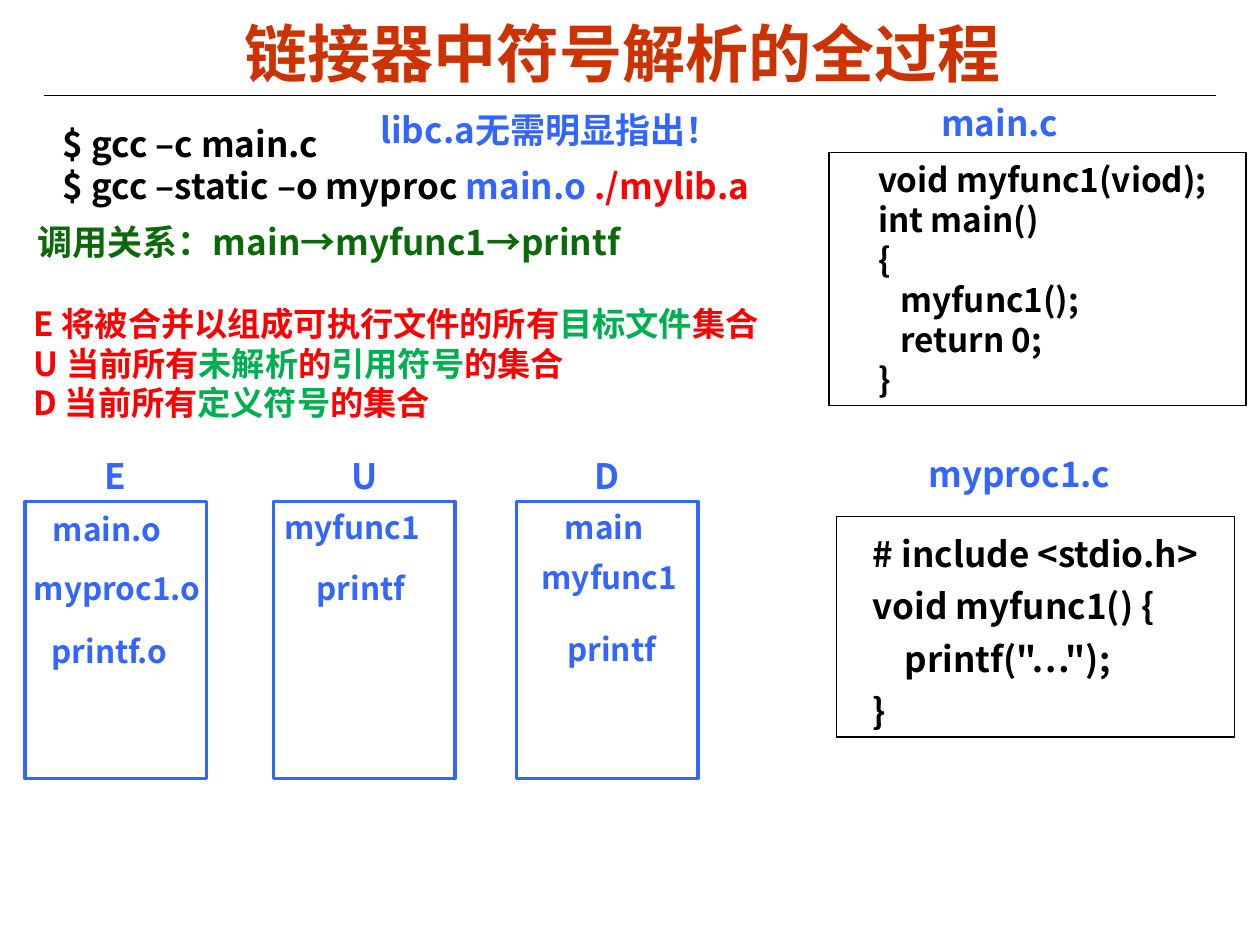
"""Build a slide on how a linker resolves symbols."""
from lxml import etree
from pptx import Presentation, util as u
from pptx.dml.color import RGBColor
from pptx.enum import shapes, text
from pptx.oxml.ns import qn

COLORS = {"title": "CC3300", "ink": "000000", "blue": "3366FF", "label": "3365FF",
          "red": "FF0000", "green": "00B050", "call": "0A6A0A"}


class SlideBuilder:
    """Hold the style and the current slide."""

    font = "Noto Sans CJK SC"

    def __init__(self, slide):
        self.slide = slide

    def color(self, name):
        return RGBColor.from_string(COLORS[name])

    def style_run(self, run, size, color, font):
        run.font.size, run.font.bold, run.font.name = u.Pt(size), True, font
        run.font.color.rgb = self.color(color)
        east_asian = etree.SubElement(run._r.get_or_add_rPr(), qn("a:ea"))
        east_asian.set("typeface", self.font)

    def fill_text(self, frame, lines, size, align=text.PP_ALIGN.LEFT, anchor=text.MSO_ANCHOR.TOP,
                  wrap=True, indent=0, spacing=None, font=font):
        """Fill a frame with lines, each a list of (words, color) pairs."""
        frame.auto_size = text.MSO_AUTO_SIZE.NONE
        frame.word_wrap, frame.vertical_anchor = wrap, anchor
        for number, line in enumerate(lines):
            paragraph = frame.add_paragraph() if number else frame.paragraphs[0]
            paragraph.alignment = align
            if spacing:
                paragraph.line_spacing = spacing
            if indent:
                paragraph._p.get_or_add_pPr().set("indent", str(u.Inches(indent)))
            for words, color in line:
                run = paragraph.add_run()
                run.text = words
                self.style_run(run, size, color, font)

    def title(self, words, *place):
        title = self.slide.shapes.title
        title.left, title.top, title.width, title.height = map(u.Inches, place)
        self.fill_text(title.text_frame, [[(words, "title")]], 36, text.PP_ALIGN.CENTER,
                       text.MSO_ANCHOR.MIDDLE, font="Arial")

    def rule(self, left, right, top):
        line = self.slide.shapes.add_connector(
            shapes.MSO_CONNECTOR.STRAIGHT, *map(u.Inches, (left, top, right, top)))
        line.line.color.rgb, line.line.width = self.color("ink"), u.Pt(0.75)
        etree.SubElement(line._element.spPr, qn("a:effectLst"))

    def text_box(self, place, lines, size=20, **layout):
        box = self.slide.shapes.add_textbox(*map(u.Inches, place))
        self.fill_text(box.text_frame, lines, size, **layout)

    def frame(self, place, color, width):
        box = self.slide.shapes.add_shape(
            shapes.MSO_SHAPE.RECTANGLE, *map(u.Inches, place))
        box.shadow.inherit = False
        box.fill.background()
        box.line.color.rgb, box.line.width = self.color(color), u.Pt(width)
        return box

    def code(self, place, source, size, indent, spacing=None):
        box = self.frame(place, "ink", 0.75)
        self.fill_text(box.text_frame, [[(line, "ink")] for line in source], size,
                       anchor=text.MSO_ANCHOR.MIDDLE, indent=indent, spacing=spacing)

    def symbol_set(self, left, name, name_left, members):
        self.frame((left, 3.98, 1.44, 2.2), "label", 2)
        self.text_box((name_left, 3.56, 0.33, 0.43), [[(name, "label")]])
        for member, member_left, top, width, align in members:
            self.text_box((member_left, top, width, 0.4), [[(member, "label")]], 18, align=align)


def main():
    deck = Presentation()
    deck.slide_width, deck.slide_height = u.Inches(10), u.Inches(7.5)
    page = SlideBuilder(deck.slides.add_slide(deck.slide_layouts[5]))
    left, center = text.PP_ALIGN.LEFT, text.PP_ALIGN.CENTER

    page.title("链接器中符号解析的全过程", 0.44, 0.11, 9, 0.61)
    page.rule(0.35, 9.65, 0.76)

    page.code((6.58, 1.21, 3.31, 2.01),
              ["void myfunc1(viod);", "int main()", "{", "   myfunc1();", "   return 0;", "}"],
              19, 0.29)
    page.text_box((7.37, 0.76, 1.59, 0.43), [[("main.c", "label")]])
    page.code((6.64, 4.1, 3.16, 1.75),
              ["# include <stdio.h>", "void myfunc1() {", '    printf("…");', "}"],
              20, 0.19, 1.25)
    page.text_box((7.27, 3.54, 1.67, 0.44), [[("myproc1.c", "blue")]], wrap=False)

    page.text_box((0.4, 0.92, 5.97, 0.77), [
        [("$ gcc –c main.c", "ink")],
        [("$ gcc –static –o myproc ", "ink"), ("main.o ", "blue"), ("./mylib.a", "red")]])
    page.text_box((2.92, 0.81, 2.97, 0.43), [[("libc.a无需明显指出！", "blue")]])
    page.text_box((0.2, 1.7, 5.57, 0.43), [[("调用关系：main→myfunc1→printf", "call")]])
    page.text_box((0.17, 2.35, 6.03, 1.06), [
        [("E 将被合并以组成可执行文件的所有", "red"), ("目标文件", "green"), ("集合", "red")],
        [("U 当前所有", "red"), ("未解析", "green"), ("的", "red"),
         ("引用符号", "green"), ("的集合", "red")],
        [("D 当前所有", "red"), ("定义符号", "green"), ("的集合", "red")]],
        19, anchor=text.MSO_ANCHOR.MIDDLE, wrap=False)

    page.symbol_set(0.2, "E", 0.73, [("main.o", 0.32, 4, 1.26, left),
                                     ("myproc1.o", 0.17, 4.47, 1.71, left),
                                     ("printf.o", 0.31, 4.97, 1.71, left)])
    page.symbol_set(2.17, "U", 2.69, [("myfunc1", 2.16, 3.98, 1.45, left),
                                      ("printf", 2.14, 4.47, 1.45, center)])
    page.symbol_set(4.1, "D", 4.62, [("main", 4.07, 3.98, 1.45, center),
                                     ("myfunc1", 4.2, 4.38, 1.45, left),
                                     ("printf", 4.13, 4.95, 1.45, center)])
    deck.save("out.pptx")


if __name__ == "__main__":
    main()
